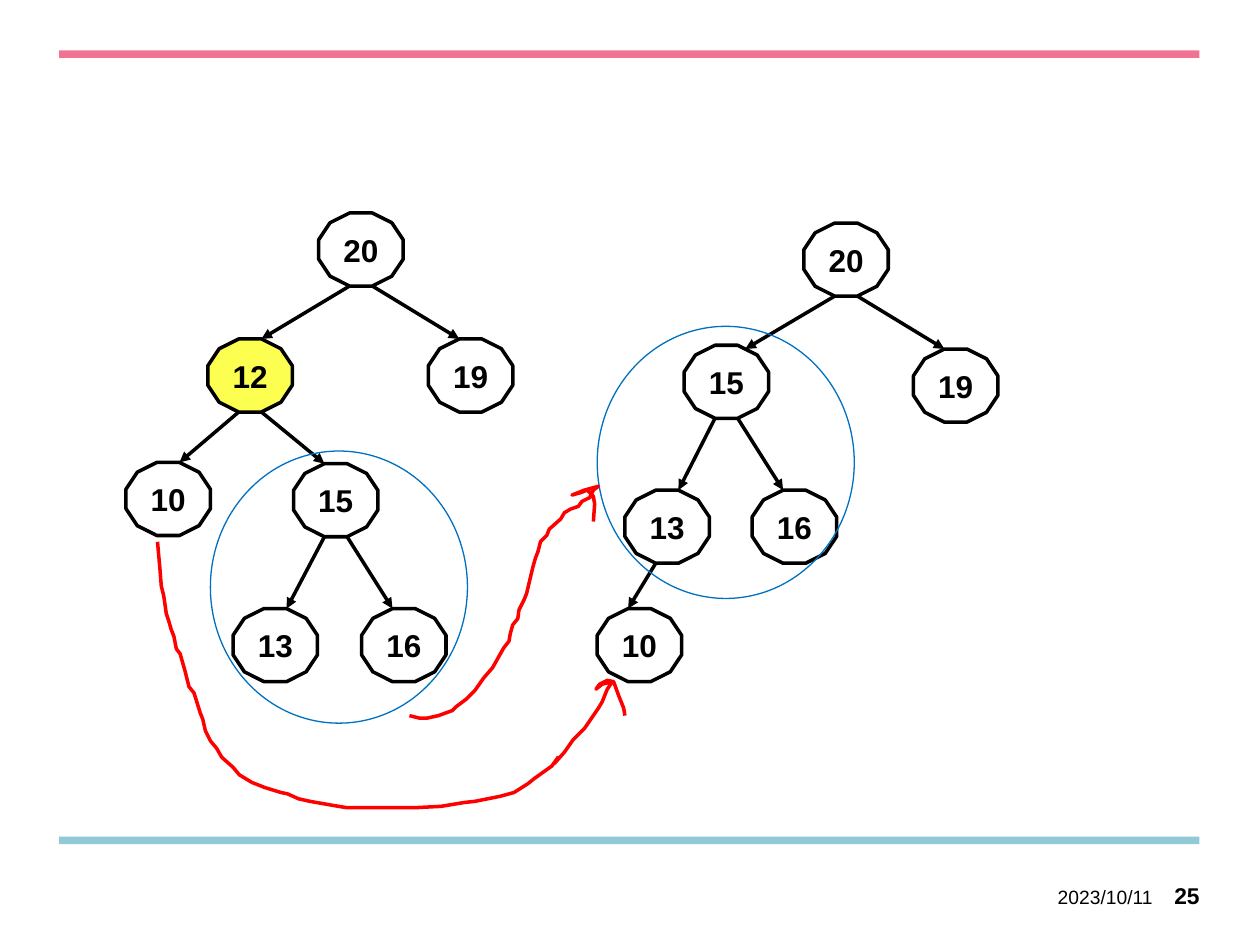
from lxml import etree
from pptx import Presentation
from pptx.dml.color import RGBColor
from pptx.enum.shapes import MSO_CONNECTOR, MSO_SHAPE
from pptx.enum.text import MSO_ANCHOR, PP_ALIGN
from pptx.oxml.ns import qn
from pptx.util import Inches, Pt

RECT, OVAL, NODE = MSO_SHAPE.RECTANGLE, MSO_SHAPE.OVAL, MSO_SHAPE.DODECAGON
STRAIGHT = MSO_CONNECTOR.STRAIGHT
MIDDLE, TOP = MSO_ANCHOR.MIDDLE, MSO_ANCHOR.TOP
CENTER, RIGHT = PP_ALIGN.CENTER, PP_ALIGN.RIGHT
BLACK, RED, BLUE, YELLOW = "000000", "FF0000", "0070C0", "FCFF4F"
PINK, TEAL = "F17391", "92C9D7"
NODE_W, NODE_H = 0.67, 0.58
CORNER = 0.09  # half the flat top or bottom of a node


def rgb(code):
    return RGBColor.from_string(code)


class Board:
    font = "Arial"

    def __init__(self, slide):
        self.slide = slide
        self.shapes = slide.shapes

    def paint(self, shape, fill=None, line=None, width=2):
        shape.shadow.inherit = False
        if fill:
            shape.fill.solid()
            shape.fill.fore_color.rgb = rgb(fill)
        else:
            shape.fill.background()
        if line:
            shape.line.color.rgb = rgb(line)
            shape.line.width = Pt(width)
        else:
            shape.line.fill.background()

    def shape(self, kind, box, **look):
        shape = self.shapes.add_shape(kind, *map(Inches, box))
        self.paint(shape, **look)
        return shape

    def put_text(self, shape, text, size, bold, align, anchor, top=0):
        frame = shape.text_frame
        frame.word_wrap = True
        frame.vertical_anchor = anchor
        frame.margin_left = frame.margin_right = frame.margin_bottom = 0
        frame.margin_top = Inches(top)
        para = frame.paragraphs[0]
        para.alignment = align
        run = para.add_run()
        run.text = text
        run.font.name = self.font
        run.font.size = Pt(size)
        run.font.bold = bold
        run.font.color.rgb = rgb(BLACK)

    def label(self, text, box, size, bold, anchor, top=0):
        shape = self.shapes.add_textbox(*map(Inches, box))
        self.put_text(shape, text, size, bold, RIGHT, anchor, top)

    def arrow(self, start, end):
        line = self.shapes.add_connector(STRAIGHT, *map(Inches, start + end))
        line.line.color.rgb = rgb(BLACK)
        line.line.width = Pt(2)
        props = line._element.spPr
        tail = etree.SubElement(props.find(qn("a:ln")), qn("a:tailEnd"))
        tail.set("type", "triangle")
        etree.SubElement(props, qn("a:effectLst"))

    def tree(self, nodes, edges, marked=None):
        """Edges are parent, child, start side, end side (-1 left, 1 right) and end shift."""
        for key, (left, top) in nodes.items():
            fill = YELLOW if key == marked else None
            node = self.shape(NODE, (left, top, NODE_W, NODE_H), fill=fill, line=BLACK)
            self.put_text(node, key, 18, True, CENTER, MIDDLE)
        for parent, child, out, into, shift in edges:
            left, top = nodes[parent]
            start = (left + NODE_W / 2 + out * CORNER, top + NODE_H)
            left, top = nodes[child]
            end = (left + NODE_W / 2 + into * CORNER + shift[0], top + shift[1])
            self.arrow(start, end)

    def stroke(self, points):
        spots = [(Inches(x), Inches(y)) for x, y in points]
        pen = self.shapes.build_freeform(*spots[0], scale=1.0)
        pen.add_line_segments(spots[1:], close=False)
        self.paint(pen.convert_to_shape(), line=RED)


STAY = (0, 0)
LEFT_TREE = {"20": (2.53, 1.69), "19": (3.4, 2.69), "10": (1, 3.67), "12": (1.65, 2.69),
             "15": (2.33, 3.68), "16": (2.87, 4.83), "13": (1.85, 4.83)}
LEFT_EDGES = [("20", "12", -1, 1, STAY), ("12", "10", -1, 1, STAY),
              ("20", "19", 1, -1, STAY), ("12", "15", 1, -1, STAY),
              ("15", "13", -1, 1, STAY), ("15", "16", 1, -1, STAY)]
RIGHT_TREE = {"20": (6.38, 1.77), "19": (7.25, 2.77), "10": (4.74, 4.83),
              "15": (5.43, 2.74), "16": (5.97, 3.89), "13": (4.96, 3.89)}
RIGHT_EDGES = [("20", "15", -1, 1, (0.06, 0.03)), ("13", "10", -1, -1, STAY),
               ("20", "19", 1, -1, STAY),
               ("15", "13", -1, 1, STAY), ("15", "16", 1, -1, STAY)]
LOW_PATH = [
    (1.25, 4.3), (1.26, 4.41), (1.27, 4.52), (1.28, 4.65), (1.3, 4.73), (1.32, 4.87),
    (1.34, 4.93), (1.36, 5), (1.38, 5.05), (1.4, 5.15), (1.43, 5.19), (1.47, 5.33),
    (1.5, 5.45), (1.54, 5.5), (1.59, 5.66), (1.61, 5.71), (1.63, 5.8), (1.67, 5.88),
    (1.72, 5.94), (1.76, 6.01), (1.85, 6.09), (1.9, 6.15), (2, 6.21), (2.1, 6.25),
    (2.23, 6.29), (2.28, 6.3), (2.37, 6.34), (2.46, 6.36), (2.63, 6.39), (2.75, 6.41),
    (3.3, 6.41), (3.5, 6.4), (3.68, 6.37), (3.77, 6.36), (3.97, 6.32), (4.08, 6.29),
    (4.19, 6.22), (4.24, 6.18), (4.38, 6.08), (4.43, 6.01), (4.4, 6.06), (4.48, 5.97),
    (4.55, 5.87), (4.64, 5.78), (4.75, 5.62), (4.78, 5.57), (4.82, 5.47), (4.86, 5.41),
    (4.78, 5.43), (4.73, 5.47), (4.76, 5.43), (4.82, 5.4), (4.87, 5.41), (4.91, 5.52),
    (4.93, 5.57), (4.95, 5.62), (4.96, 5.68)]
HIGH_PATH = [
    (3.25, 5.68), (3.33, 5.7), (3.39, 5.7), (3.48, 5.68), (3.59, 5.64), (3.62, 5.61),
    (3.7, 5.55), (3.77, 5.48), (3.84, 5.38), (3.91, 5.3), (3.96, 5.21), (4, 5.14),
    (4.04, 5.09), (4.05, 5.03), (4.07, 4.96), (4.11, 4.91), (4.12, 4.84), (4.16, 4.76),
    (4.18, 4.71), (4.23, 4.5), (4.25, 4.43), (4.27, 4.38), (4.29, 4.3), (4.34, 4.25),
    (4.36, 4.2), (4.45, 4.12), (4.48, 4.07), (4.53, 4.04), (4.59, 4.02), (4.62, 3.98),
    (4.68, 3.95), (4.71, 3.89), (4.75, 3.86), (4.64, 3.89), (4.59, 3.91), (4.54, 3.93),
    (4.61, 3.91), (4.66, 3.89), (4.71, 3.94), (4.72, 4), (4.71, 4.14)]


def main():
    deck = Presentation()
    deck.slide_width, deck.slide_height = Inches(10), Inches(7.5)
    board = Board(deck.slides.add_slide(deck.slide_layouts[6]))
    for top, color in ((6.64, TEAL), (0.4, PINK)):
        board.shape(RECT, (0.47, top, 9.05, 0.06), fill=color)
    board.tree(LEFT_TREE, LEFT_EDGES, marked="12")
    board.tree(RIGHT_TREE, RIGHT_EDGES)
    board.stroke(LOW_PATH)
    for left, top in ((1.67, 3.58), (4.74, 2.59)):
        board.shape(OVAL, (left, top, 2.04, 2.16), line=BLUE, width=0.75)
    board.stroke(HIGH_PATH)
    board.label("2023/10/11", (8.19, 6.98, 0.96, 0.27), 11, False, MIDDLE)
    board.label("25", (9.13, 6.98, 0.39, 0.27), 13, True, TOP, top=0.02)
    deck.save("out.pptx")


if __name__ == "__main__":
    main()
